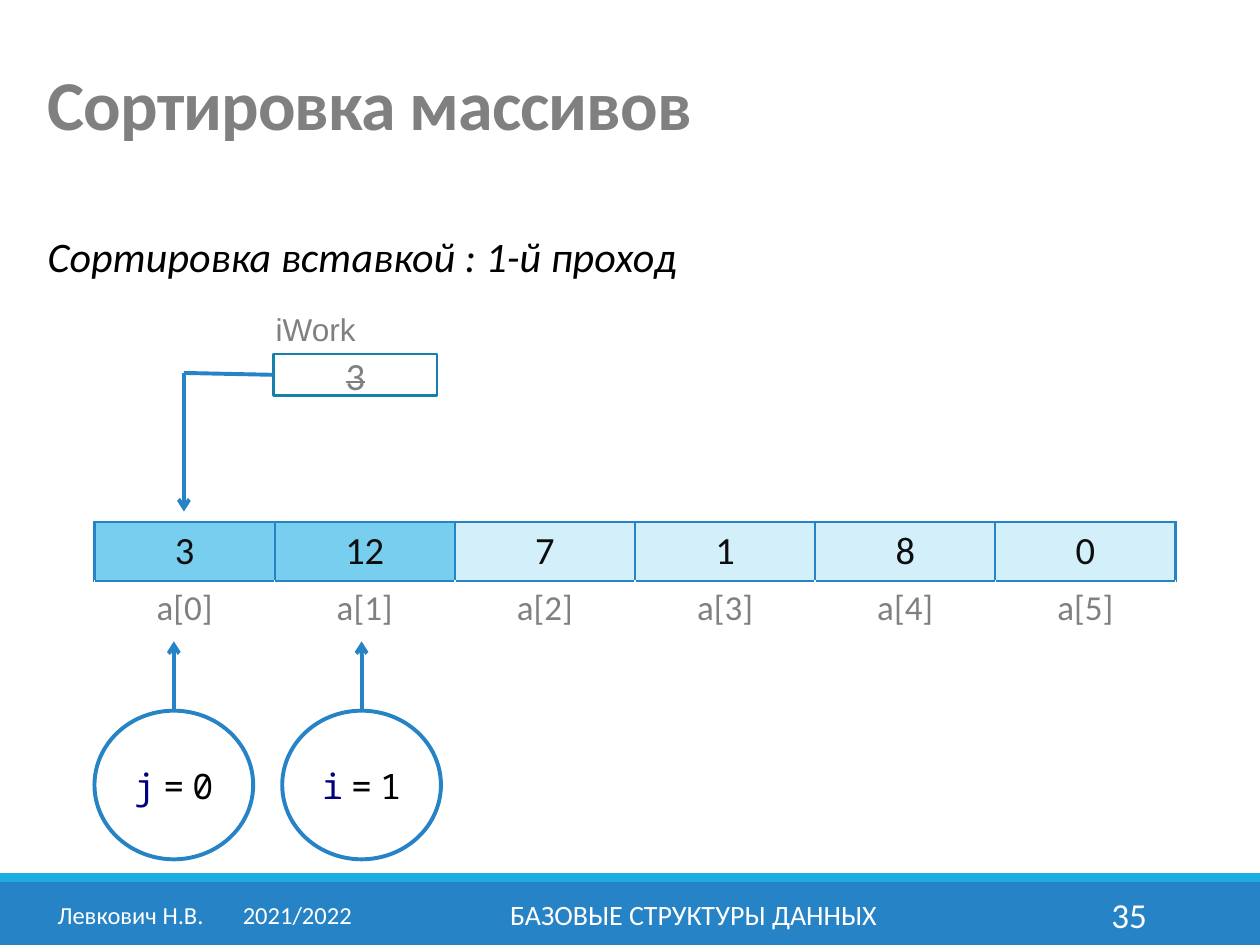
import pptx
import pptx.util
import pptx.dml.color
import pptx.enum.shapes
import pptx.enum.text
import pptx.oxml
import pptx.oxml.ns
from lxml import etree

Inches, Pt = pptx.util.Inches, pptx.util.Pt
RGB = pptx.dml.color.RGBColor.from_string
SHAPE = pptx.enum.shapes.MSO_SHAPE
ALIGN = pptx.enum.text.PP_ALIGN
MIDDLE = pptx.enum.text.MSO_ANCHOR.MIDDLE
qn = pptx.oxml.ns.qn

COLORS = {
    "blue": "2683C6", "sky": "1CADE4", "box": "1580A9", "sorted": "77CEEF",
    "unsorted": "D2EFFA", "gray": "808080", "dark": "0D0D0D",
    "black": "000000", "navy": "000080", "white": "FFFFFF",
}

prs = pptx.Presentation()
prs.slide_width, prs.slide_height = Inches(10), Inches(7.5)
s = prs.slides.add_slide(prs.slide_layouts[6])


def set_text(tf, text, size, color, align=ALIGN.LEFT, font="Calibri"):
    """Fill the first paragraph of a text frame and return it."""
    p = tf.paragraphs[0]
    p.text = text
    p.alignment = align
    p.font.size = Pt(size)
    p.font.name = font
    p.font.color.rgb = RGB(COLORS[color])
    return p


def add_line(x1, y1, x2, y2, arrow=True):
    c = s.shapes.add_connector(pptx.enum.shapes.MSO_CONNECTOR.STRAIGHT,
                               Inches(x1), Inches(y1), Inches(x2), Inches(y2))
    c.line.color.rgb = RGB(COLORS["blue"])
    c.line.width = Pt(2.25)
    if arrow:
        etree.SubElement(c.line._get_or_add_ln(), qn("a:tailEnd"), type="arrow")
    etree.SubElement(c._element.spPr, qn("a:effectLst"))
    return c


# Footer bands
for top, height, color in [(7, 0.5, "blue"), (6.93, 0.07, "sky")]:
    sp = s.shapes.add_shape(SHAPE.RECTANGLE, 0, Inches(top), Inches(10), Inches(height))
    sp.shadow.inherit = False
    sp.fill.solid()
    sp.fill.fore_color.rgb = RGB(COLORS[color])
    sp.line.fill.background()

# Title, subtitle, label and footer texts
texts = {}
for name, box, text, size, color, align, font in [
    ("title", (0.28, 0.29, 9.45, 1.15), "Сортировка массивов", 40, "gray", ALIGN.LEFT, "Calibri"),
    ("subtitle", (0.28, 1.78, 9.21, 0.5), "Сортировка вставкой : 1-й проход", 24, "black", ALIGN.LEFT, "Calibri"),
    ("work", (2.09, 2.41, 0.87, 0.4), "iWork", 18, "gray", ALIGN.LEFT, "Arial"),
    ("author", (0.32, 7.06, 2.61, 0.4), "Левкович Н.В.\t2021/2022", 14, "white", ALIGN.CENTER, "Calibri"),
    ("course", (3.02, 7.06, 4.97, 0.4), "БАЗОВЫЕ СТРУКТУРЫ ДАННЫХ", 16, "white", ALIGN.CENTER, "Calibri"),
    ("number", (8.12, 7.06, 1.08, 0.4), "35", 20, "white", ALIGN.RIGHT, "Calibri"),
]:
    tf = s.shapes.add_textbox(*map(Inches, box)).text_frame
    tf.word_wrap = True
    if name not in ("subtitle", "work"):
        tf.vertical_anchor = MIDDLE
    if name == "author":
        tabs = etree.SubElement(tf.paragraphs[0]._p.get_or_add_pPr(), qn("a:tabLst"))
        etree.SubElement(tabs, qn("a:tab"), pos=str(Inches(1.47)), algn="l")
    texts[name] = set_text(tf, text, size, color, align, font)

texts["title"].font.bold = True
texts["title"].line_spacing = 0.85
texts["title"].runs[0]._r.get_or_add_rPr().set("spc", "-50")
texts["subtitle"].font.italic = True
texts["subtitle"].space_after = Pt(6)

# Array with its index labels
values = [3, 12, 7, 1, 8, 0]
frame = s.shapes.add_table(2, len(values), Inches(0.75), Inches(4.14), Inches(8.58), Inches(0.9))
table = frame.table
table.first_row = table.horz_banding = False
table.rows[0].height, table.rows[1].height = Inches(0.47), Inches(0.43)
for col, value in enumerate(values):
    table.columns[col].width = Inches(1.43)
    for row, (text, size, color, fill) in enumerate([
        (str(value), 22, "dark", "sorted" if col < 2 else "unsorted"),
        (f"a[{col}]", 20, "gray", "white"),
    ]):
        cell = table.cell(row, col)
        set_text(cell.text_frame, text, size, color, ALIGN.CENTER)
        if row == 1:
            cell.vertical_anchor = MIDDLE
        tcPr = cell._tc.get_or_add_tcPr()
        for side in "LRTB":
            blue = row == 0 or side == "T"
            ln = etree.SubElement(tcPr, qn(f"a:ln{side}"), w=str(Pt(1.5 if blue else 1)))
            solid = etree.SubElement(ln, qn("a:solidFill"))
            etree.SubElement(solid, qn("a:srgbClr"), val=COLORS["blue" if blue else "white"])
        cell.fill.solid()
        cell.fill.fore_color.rgb = RGB(COLORS[fill])

# Work variable, moved into a[0]
work = s.shapes.add_shape(SHAPE.RECTANGLE, Inches(2.17), Inches(2.81), Inches(1.3), Inches(0.33))
work.shadow.inherit = False
work.fill.background()
work.line.color.rgb = RGB(COLORS["box"])
work.line.width = Pt(1.5)
work.text_frame.vertical_anchor = MIDDLE
p = set_text(work.text_frame, "3", 22, "gray", ALIGN.CENTER)
p.runs[0]._r.get_or_add_rPr().set("strike", "sngStrike")
add_line(1.46, 2.96, 1.46, 4.06)
add_line(2.17, 2.97, 1.46, 2.96, arrow=False).begin_connect(work, 1)

# Index pointers
for left, name, value in [(2.24, "i", "1"), (0.75, "j", "0")]:
    circle = s.shapes.add_shape(SHAPE.OVAL, Inches(left), Inches(5.64), Inches(1.26), Inches(1.18))
    circle.shadow.inherit = False
    circle.fill.background()
    circle.line.color.rgb = RGB(COLORS["blue"])
    circle.line.width = Pt(2.25)
    tf = circle.text_frame
    tf.vertical_anchor = MIDDLE
    p = tf.paragraphs[0]
    p.alignment = ALIGN.CENTER
    for text in (name, " ", "=", " ", value):
        r = p.add_run()
        r.text = text
        r.font.size = Pt(20)
        r.font.name = "Calibri" if text == " " else "Noto Sans Mono"
        r.font.color.rgb = RGB(COLORS["navy" if text == name else "black"])
    center = left + 0.63
    add_line(center, 5.64, center, 5.09).begin_connect(circle, 0)

prs.save("out.pptx")
